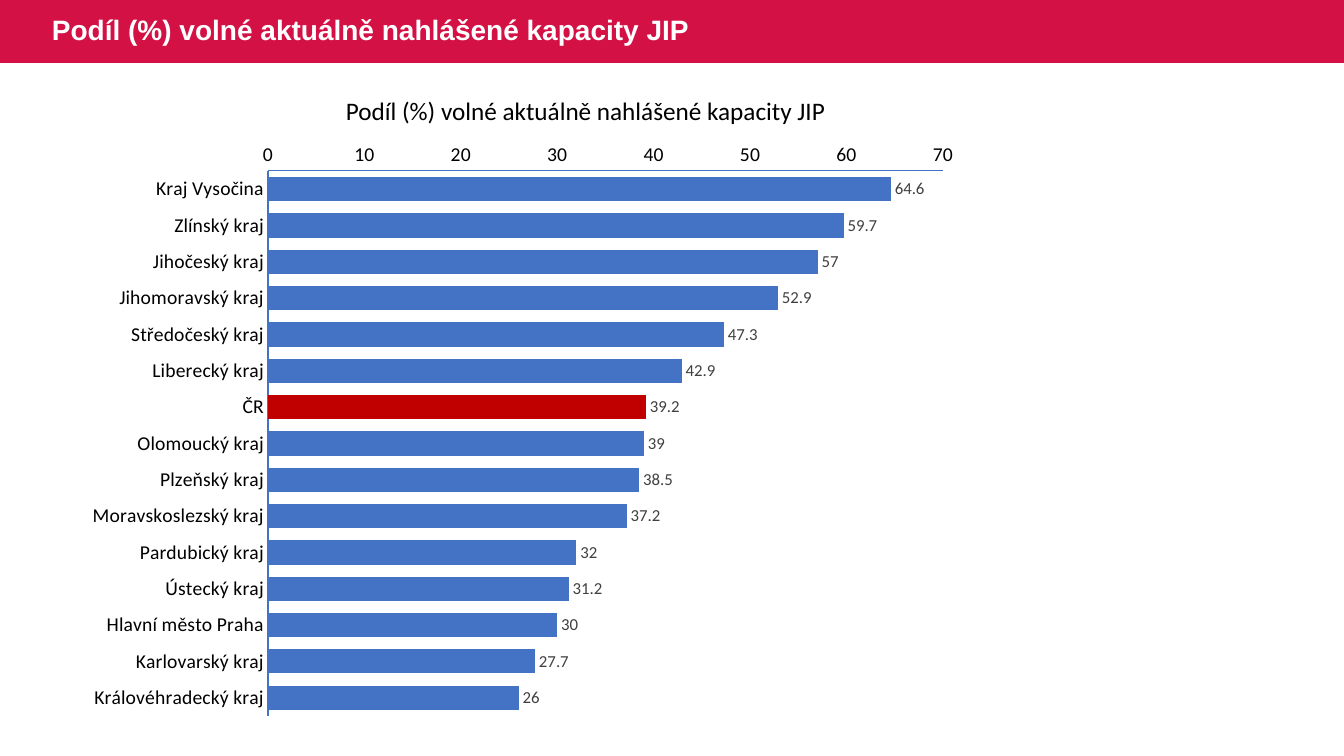
from lxml import etree
from pptx import Presentation
from pptx.chart import data
from pptx.enum import chart as ce, shapes, text
from pptx.dml.color import RGBColor
from pptx.oxml import ns
from pptx.util import Pt

PX = 914400 / 100.8
COLORS = {"band": "D31145", "white": "FFFFFF", "black": "000000",
          "bar": "4472C4", "country": "C00000", "label": "404040"}
HEADING = "Podíl (%) volné aktuálně nahlášené kapacity JIP"
SHARES = {
    "Kraj Vysočina": 64.6, "Zlínský kraj": 59.7, "Jihočeský kraj": 57,
    "Jihomoravský kraj": 52.9, "Středočeský kraj": 47.3, "Liberecký kraj": 42.9,
    "ČR": 39.2, "Olomoucký kraj": 39, "Plzeňský kraj": 38.5,
    "Moravskoslezský kraj": 37.2, "Pardubický kraj": 32, "Ústecký kraj": 31.2,
    "Hlavní město Praha": 30, "Karlovarský kraj": 27.7, "Královéhradecký kraj": 26,
}


def px(*lengths):
    return [round(n * PX) for n in lengths]


def style(font, color, **values):
    font.color.rgb = RGBColor.from_string(COLORS[color])
    for name, value in values.items():
        setattr(font, name, value)


prs = Presentation()
prs.slide_width, prs.slide_height = px(1344, 756)
s = prs.slides.add_slide(prs.slide_layouts[6])

# Header band
sp = s.shapes.add_shape(shapes.MSO_SHAPE.RECTANGLE, *px(0, 0, 1344, 63))
sp.shadow.inherit = False
sp.fill.solid()
sp.fill.fore_color.rgb = RGBColor.from_string(COLORS["band"])
sp.line.fill.background()

# Chart
cd = data.CategoryChartData(number_format="General")
cd.categories = list(SHARES)
cd.add_series("Series 1", list(SHARES.values()))
box = (75, 131, 896, 598)
chart = s.shapes.add_chart(ce.XL_CHART_TYPE.BAR_CLUSTERED, *px(*box), cd).chart
chart.has_legend = chart.has_title = False
style(chart.font, "black", size=Pt(10), name="Calibri")

# Axes
for axis in (chart.category_axis, chart.value_axis):
    axis.has_major_gridlines = False
    axis.major_tick_mark = axis.minor_tick_mark = ce.XL_TICK_MARK.NONE
    axis.format.line.width = Pt(0.75)
    axis.format.line.color.rgb = RGBColor.from_string(COLORS["bar"])
    style(axis.tick_labels.font, "black", size=Pt(14), name="Calibri")
chart.category_axis.reverse_order = True
axis = chart.value_axis
axis.minimum_scale, axis.maximum_scale, axis.major_unit = 0, 70, 10

# Bars and their labels
plot = chart.plots[0]
plot.gap_width = 50
plot.vary_by_categories = False
bars = plot.series[0]
country = bars.points[list(SHARES).index("ČR")]
for part, color in ((bars, "bar"), (country, "country")):
    part.format.fill.solid()
    part.format.fill.fore_color.rgb = RGBColor.from_string(COLORS[color])
labels = bars.data_labels
labels.show_value = True
labels.position = ce.XL_LABEL_POSITION.OUTSIDE_END
style(labels.font, "label", size=Pt(12), name="Calibri")

# Fixed inner plot area
area = plot._element.getparent()
for old in area.findall(ns.qn("c:layout")):
    area.remove(old)
layout = etree.Element(ns.qn("c:layout"))
manual = etree.SubElement(layout, ns.qn("c:manualLayout"))
settings = {"layoutTarget": "inner", "xMode": "edge", "yMode": "edge",
            "x": (268 - box[0]) / box[2], "y": (171 - box[1]) / box[3],
            "w": 675 / box[2], "h": 545 / box[3]}
for tag, value in settings.items():
    etree.SubElement(manual, ns.qn("c:" + tag)).set("val", str(value))
area.insert(0, layout)

# Slide title and chart heading
for place, wrap, spacing, color, font in (
    ((42, 0, 1165, 63), True, 0.9, "white", {"size": Pt(20), "name": "Arial", "bold": True}),
    ((336, 90, 517, 40), False, 1.0, "black", {"size": Pt(18), "name": "Calibri"}),
):
    tf = s.shapes.add_textbox(*px(*place)).text_frame
    tf.word_wrap = wrap
    tf.vertical_anchor = text.MSO_ANCHOR.MIDDLE
    p = tf.paragraphs[0]
    p.line_spacing = spacing
    r = p.add_run()
    r.text = HEADING
    style(r.font, color, **font)

prs.save("out.pptx")
